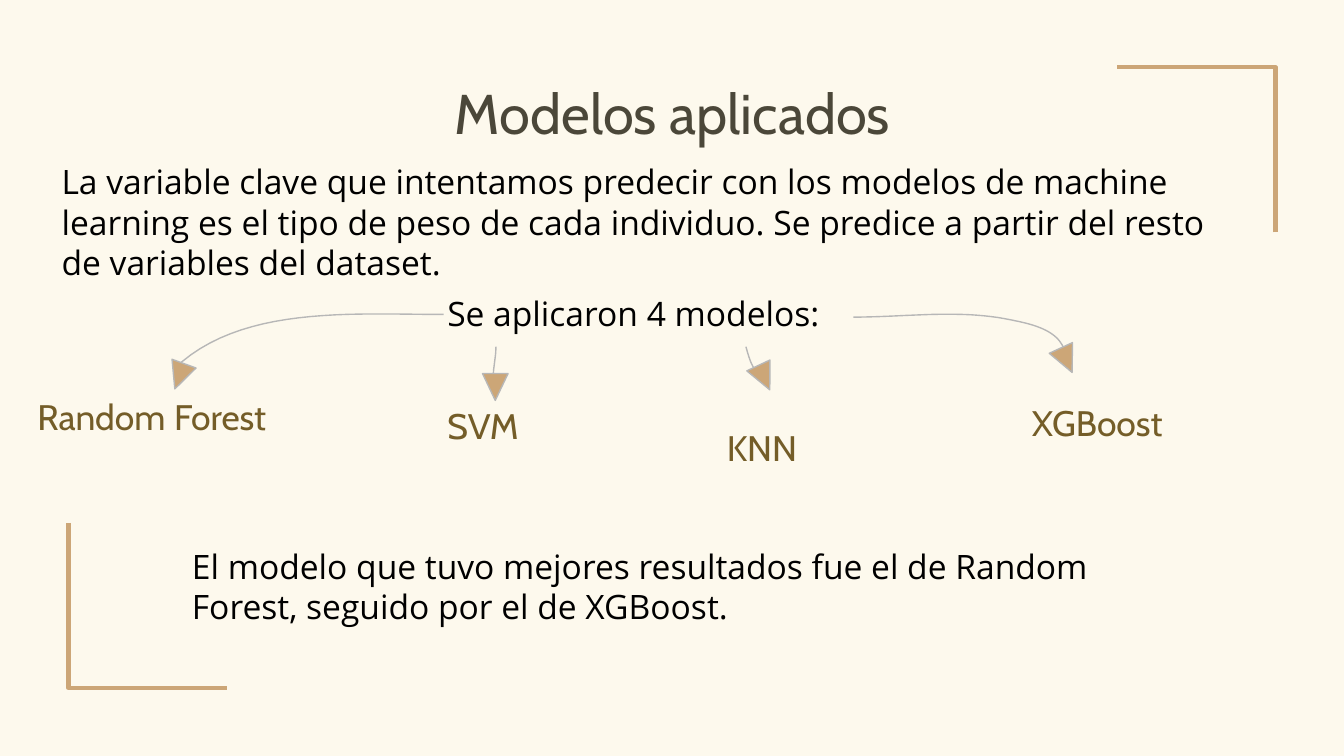
from pptx import Presentation
from pptx.dml.color import RGBColor
from pptx.enum import shapes, text
from pptx.util import Inches, Pt

SLIDE_WIDTH = 10
SLIDE_HEIGHT = SLIDE_WIDTH * 9 / 16

THEME = {
    "background": "FDF9ED", "frame": "CCA677", "arrow_line": "B7B7B7",
    "frame_width": 2.25, "arrow_width": 0.75,
    "title": {"name": "Cabin", "size": 30, "color": "4B4739"},
    "body": {"name": "Open Sans", "size": 18, "color": "000000"},
    "model": {"name": "Cabin", "size": 19, "color": "745D28"},
}

# Content: box (left, top, width, height), runs of (words, style), line spacing
TITLE = ((0.85, 0, 8.31, 1.67), [("Modelos aplicados", "title")], 1)
TEXTS = [
    ((0.36, 1.1, 8.79, 1.16), [(
        "La variable clave que intentamos predecir con los modelos de machine "
        "learning es el tipo de peso de cada individuo. Se predice a partir del "
        "resto de variables del dataset.", "body")], 1),
    ((3.23, 2.08, 3.53, 0.4), [("Se aplicaron 4 modelos:", "body")], 1),
    ((0.18, 2.84, 2.29, 0.41),
     [("Random", "model"), (" ", "body"), ("Forest", "model")], 1),
    ((3.23, 2.91, 1.1, 0.4), [("SVM", "model")], 1),
    ((5.31, 3.07, 0.95, 0.26), [("KNN", "model")], 1),
    ((7.58, 2.84, 1.76, 0.4), [("XGBoost", "model")], 1.15),
    ((1.33, 3.96, 7.46, 0.86), [(
        "El modelo que tuvo mejores resultados fue el de Random Forest, "
        "seguido por el de XGBoost.", "body")], 1),
]
CORNERS = [
    [(9.49, 1.73), (9.49, 0.5), (8.31, 0.5)],
    [(0.51, 3.89), (0.51, 5.12), (1.69, 5.12)],
]
# Arrows: Bezier points (each curve adds three), head corner, head rotation
HEAD_SIZE = (0.19, 0.2)
ARROWS = [
    ([(3.3, 2.34), (2.62, 2.34), (1.78, 2.27), (1.29, 2.75)], (1.24, 2.7), 20),
    ([(3.69, 2.58), (3.69, 2.66), (3.67, 2.73), (3.67, 2.81)], (3.59, 2.78), 0),
    ([(5.55, 2.58), (5.57, 2.65), (5.59, 2.73), (5.64, 2.78)], (5.59, 2.71), 334.9),
    ([(6.35, 2.36), (6.74, 2.36), (7.14, 2.3), (7.52, 2.38),
      (7.67, 2.41), (7.85, 2.45), (7.91, 2.58)], (7.84, 2.58), 335.3),
]
CURVE_STEPS = 24


def rgb(key):
    return RGBColor.from_string(THEME[key])


def inches(values):
    return [Inches(value) for value in values]


def style_line(shape, color, width):
    shape.shadow.inherit = False
    shape.line.color.rgb = rgb(color)
    shape.line.width = Pt(THEME[width])


def add_path(slide, points, color, width):
    start, *rest = [inches(point) for point in points]
    builder = slide.shapes.build_freeform(*start, scale=1.0)
    builder.add_line_segments(rest, close=False)
    outline = builder.convert_to_shape()
    outline.fill.background()
    style_line(outline, color, width)


def trace_curve(controls):
    points = [controls[0]]
    for first in range(0, len(controls) - 1, 3):
        curve = controls[first:first + 4]
        for step in range(1, CURVE_STEPS + 1):
            t = step / CURVE_STEPS
            weights = ((1 - t) ** 3, 3 * t * (1 - t) ** 2, 3 * t * t * (1 - t), t ** 3)
            points.append(tuple(sum(w * p[axis] for w, p in zip(weights, curve))
                                for axis in (0, 1)))
    return points


def write(shape, box, runs, spacing, align, anchor):
    for side, value in zip(("left", "top", "width", "height"), inches(box)):
        setattr(shape, side, value)
    frame = shape.text_frame
    settings = {"word_wrap": True, "auto_size": text.MSO_AUTO_SIZE.NONE,
                "vertical_anchor": anchor}
    settings.update({f"margin_{side}": Inches(0.1)
                     for side in ("left", "top", "right", "bottom")})
    for name, value in settings.items():
        setattr(frame, name, value)
    paragraph = frame.paragraphs[0]
    paragraph.alignment = align
    paragraph.line_spacing = spacing
    for words, style in runs:
        run = paragraph.add_run()
        run.text = words
        look = THEME[style]
        run.font.name = look["name"]
        run.font.size = Pt(look["size"])
        run.font.color.rgb = RGBColor.from_string(look["color"])


def main():
    deck = Presentation()
    deck.slide_width, deck.slide_height = inches((SLIDE_WIDTH, SLIDE_HEIGHT))
    slide = deck.slides.add_slide(deck.slide_layouts.get_by_name("Title Only"))
    slide.background.fill.solid()
    slide.background.fill.fore_color.rgb = rgb("background")

    # Corner frame
    for corner in CORNERS:
        add_path(slide, corner, "frame", "frame_width")

    # Title and texts
    write(slide.shapes.title, *TITLE, text.PP_ALIGN.CENTER, text.MSO_ANCHOR.MIDDLE)
    for box, runs, spacing in TEXTS:
        write(slide.shapes.add_textbox(*inches(box)), box, runs, spacing,
              text.PP_ALIGN.LEFT, text.MSO_ANCHOR.TOP)

    # Curved arrows to the models
    for controls, corner, rotation in ARROWS:
        add_path(slide, trace_curve(controls), "arrow_line", "arrow_width")
        head = slide.shapes.add_shape(shapes.MSO_SHAPE.FLOWCHART_MERGE,
                                      *inches(corner + HEAD_SIZE))
        head.rotation = rotation
        head.fill.solid()
        head.fill.fore_color.rgb = rgb("frame")
        style_line(head, "arrow_line", "arrow_width")

    deck.save("out.pptx")


if __name__ == "__main__":
    main()
